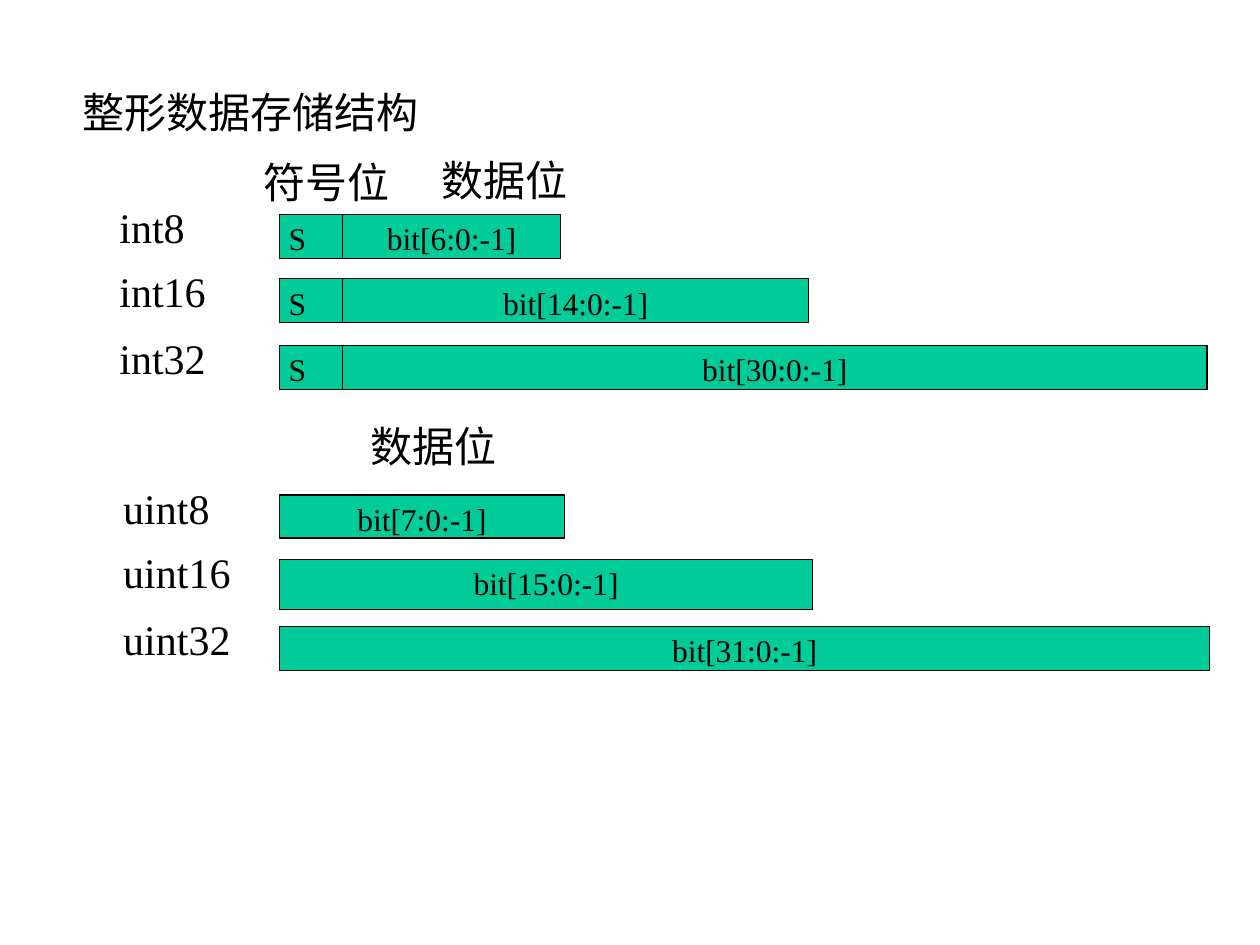
from pptx import Presentation
from pptx.dml.color import RGBColor
from pptx.enum.shapes import MSO_SHAPE as Shape
from pptx.enum.text import MSO_ANCHOR as Anchor, MSO_AUTO_SIZE as AutoSize, PP_ALIGN as Align
from pptx.util import Inches, Pt

CELL = Inches(1)  # the page is a grid of 10 columns by 7.5 rows
COLUMNS, ROWS = 10, 7.5
ROW_STEPS = (0, 0.51, 1.04)
BAR_HEIGHT = 0.35
SIGN_WIDTH = 0.65
DATA_OFFSET = 0.5  # the data bar covers the right edge of the sign bar
LABEL_SIZE = (1.5, 0.5)
LABEL_RISE = 0.15
FONT = "Times New Roman"


def colour(hex_string):
    return RGBColor.from_string(hex_string)


def grid(*cells):
    return [round(cell * CELL) for cell in cells]


def write(shape, text, size=24, align=Align.LEFT, spacing=None, margins=(0.1, 0.05),
          fit=AutoSize.NONE):
    frame = shape.text_frame
    frame.word_wrap = True
    frame.auto_size = fit
    frame.vertical_anchor = Anchor.TOP
    frame.margin_left = frame.margin_right = Inches(margins[0])
    frame.margin_top = frame.margin_bottom = Inches(margins[1])
    para = frame.paragraphs[0]
    para.alignment = align
    if spacing:
        para.line_spacing = spacing
    span = para.add_run()
    span.text = text
    span.font.size = Pt(size)
    span.font.name = FONT
    span.font.color.rgb = colour("000000")


def add_label(page, text, left, top):
    box = page.shapes.add_textbox(*grid(left, top, *LABEL_SIZE))
    write(box, text, fit=AutoSize.SHAPE_TO_FIT_TEXT)


def add_bar(page, text, left, top, width, height=BAR_HEIGHT, align=Align.CENTER):
    bar = page.shapes.add_shape(Shape.RECTANGLE, *grid(left, top, width, height))
    bar.shadow.inherit = False
    bar.fill.solid()
    bar.fill.fore_color.rgb = colour("00CC99")
    bar.line.color.rgb = colour("000000")
    bar.line.width = Pt(0.75)
    write(bar, text, size=18, align=align, margins=(0.07, 0.04))


def add_title(page, text, left, top, width, height):
    box = page.shapes.add_textbox(*grid(left, top, width, height))
    write(box, text, spacing=1.3)


def add_signed_types(page, types, label_left, left, top):
    for step, (name, bits, width) in zip(ROW_STEPS, types):
        row = top + step
        add_bar(page, "S", left, row, SIGN_WIDTH, align=Align.LEFT)
        add_bar(page, bits, left + DATA_OFFSET, row, width)
        add_label(page, name, label_left, row - LABEL_RISE)


def add_unsigned_types(page, types, label_left, left, top):
    for step, (name, bits, width, height) in zip(ROW_STEPS, types):
        row = top + step
        add_bar(page, bits, left, row, width, height)
        add_label(page, name, label_left, row - LABEL_RISE)


def main():
    deck = Presentation()
    deck.slide_width, deck.slide_height = grid(COLUMNS, ROWS)
    page = deck.slides.add_slide(deck.slide_layouts[6])

    add_title(page, "整形数据存储结构", 0.56, 0.52, 8.88, 6.17)

    add_label(page, "符号位", 1.99, 1.19)
    add_label(page, "数据位", 3.41, 1.18)
    signed = [("int8", "bit[6:0:-1]", 1.73),
              ("int16", "bit[14:0:-1]", 3.7),
              ("int32", "bit[30:0:-1]", 6.86)]
    add_signed_types(page, signed, label_left=0.85, left=2.22, top=1.7)

    add_label(page, "数据位", 2.84, 3.29)
    unsigned = [("uint8", "bit[7:0:-1]", 2.26, 0.34),
                ("uint16", "bit[15:0:-1]", 4.23, 0.4),
                ("uint32", "bit[31:0:-1]", 7.38, BAR_HEIGHT)]
    add_unsigned_types(page, unsigned, label_left=0.88, left=2.22, top=3.93)

    deck.save("out.pptx")


if __name__ == "__main__":
    main()
